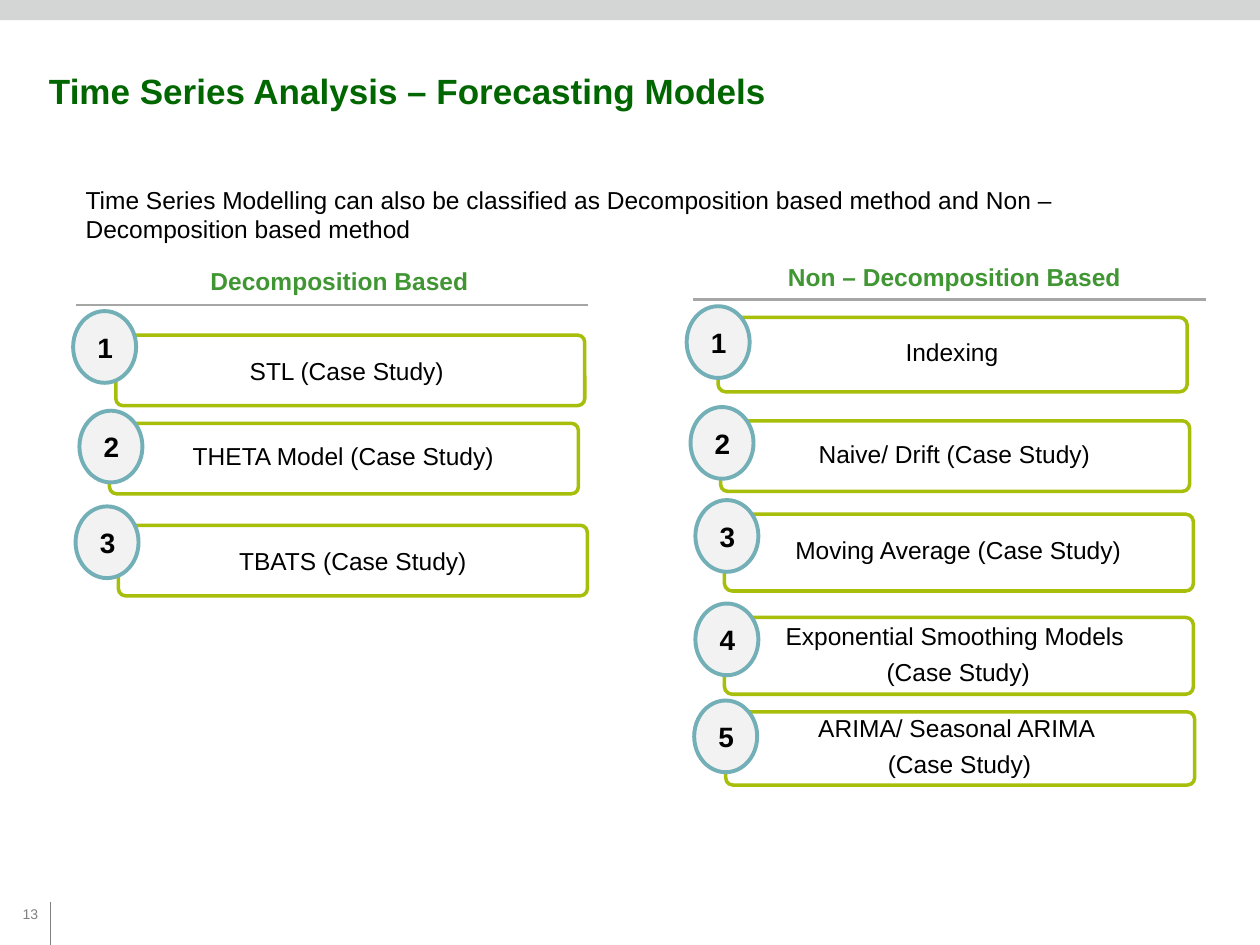
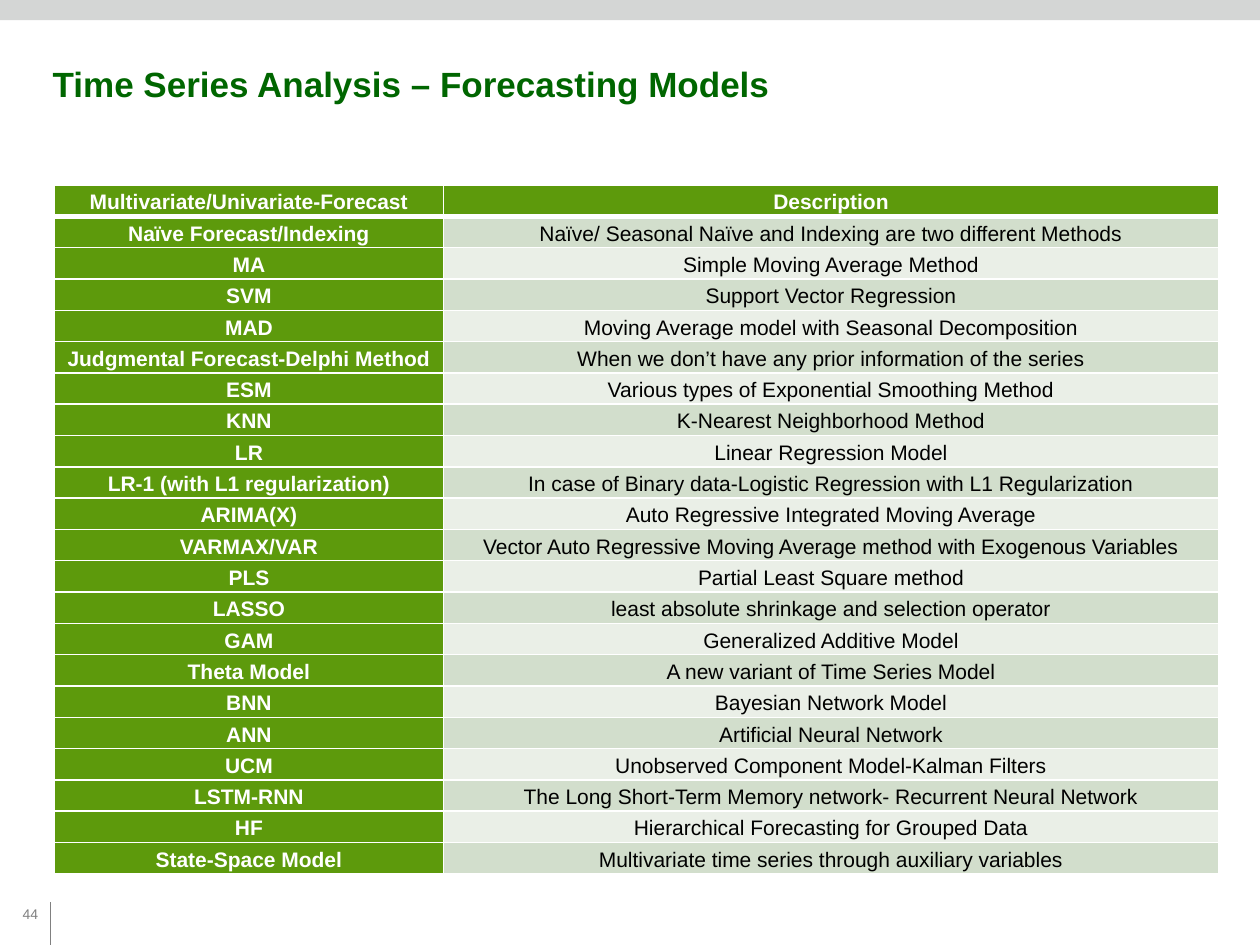
from dataclasses import dataclass
from enum import Enum
from typing import NamedTuple

from pptx import Presentation
from pptx.dml.color import RGBColor
from pptx.enum.shapes import MSO_CONNECTOR, MSO_SHAPE
from pptx.enum.text import MSO_ANCHOR, PP_ALIGN
from pptx.oxml.ns import qn
from pptx.util import Pt
from lxml import etree

FONT = "Arial"
TITLE = "Time Series Analysis – Forecasting Models"
BLACK, WHITE = "000000", "FFFFFF"
TITLE_GREEN, HEADING_GREEN, TABLE_GREEN = "006600", "409633", "5D9A0C"
CARD_LINE, BADGE_LINE, BADGE_FILL = "A7BF0A", "72AFB6", "F2F2F2"
BAND_GREY, RULE_GREY, FOOTER_GREY = "D4D6D5", "A6A6A6", "808080"
ROW_FILLS = ("D2DECC", "EAEFE7")

SLIDE_WIDTH, SLIDE_HEIGHT = 720, 540
CARD_WIDTH, LABEL_WIDTH = 268, 264
BADGE_WIDTH, BADGE_HEIGHT = 36, 41
ROW_HEIGHT, COLUMN_WIDTHS = 17.9, (222.5, 442.8)


class Box(NamedTuple):
    left: float
    top: float
    width: float
    height: float


@dataclass(frozen=True)
class TextStyle:
    size: float
    color: str = BLACK
    bold: bool = False
    align: PP_ALIGN = PP_ALIGN.LEFT
    anchor: MSO_ANCHOR = MSO_ANCHOR.MIDDLE
    insets: tuple[float, float] = (7.2, 3.6)
    line_spacing: float = 1
    space_after: float = 0


class LabelPlace(Enum):
    INSIDE = "text of the card itself"
    INSET = "text box just inside the card"
    RAISED = "text box slightly above the card"


@dataclass(frozen=True)
class Card:
    lines: tuple[str, ...]
    left: float
    top: float
    height: float
    badge_left: float
    badge_top: float
    place: LabelPlace


@dataclass(frozen=True)
class Column:
    heading: str
    heading_left: float
    heading_top: float
    rule_left: float
    rule_top: float
    cards: tuple[Card, ...]


TITLE_STYLE = TextStyle(20, TITLE_GREEN, True)
NUMBER_STYLE = TextStyle(8, FOOTER_GREY, anchor=MSO_ANCHOR.BOTTOM, space_after=2.4)
INTRO_STYLE = TextStyle(14, anchor=MSO_ANCHOR.TOP)
HEADING_STYLE = TextStyle(14, HEADING_GREEN, True, PP_ALIGN.CENTER)
BADGE_STYLE = TextStyle(16, bold=True, align=PP_ALIGN.CENTER, insets=(8.6, 8.6))
LABEL_STYLES = {
    LabelPlace.INSIDE: TextStyle(14, align=PP_ALIGN.CENTER),
    LabelPlace.INSET: TextStyle(14, align=PP_ALIGN.CENTER, insets=(2.9, 2.2),
                                line_spacing=0.9, space_after=5.5),
    LabelPlace.RAISED: TextStyle(14, align=PP_ALIGN.CENTER, insets=(2.9, 2.2)),
}
NAME_CELL = TextStyle(12, WHITE, True, PP_ALIGN.CENTER, insets=(2.2, 0), line_spacing=1.15)
DESCRIPTION_CELL = TextStyle(12, align=PP_ALIGN.CENTER, insets=(2.2, 0), line_spacing=1.15)

COLUMNS = (
    Column("Decomposition Based", 62.6, 136.8, 43.2, 174.2, (
        Card(("STL (Case Study) ",), 66.2, 191.5, 40.3, 41.8, 177.8, LabelPlace.INSIDE),
        Card(("THETA Model (Case Study)",), 62.6, 241.9, 40.3, 45.4, 234.7, LabelPlace.RAISED),
        Card(("TBATS (Case Study)",), 67.7, 300.2, 40.3, 43.2, 289.4, LabelPlace.INSIDE),
    )),
    Column("Non – Decomposition Based", 414, 134.6, 396, 171.2, (
        Card(("Indexing",), 410.4, 181.4, 42.5, 392.4, 175, LabelPlace.INSET),
        Card(("Naive/ Drift (Case Study)",), 411.8, 240.5, 40.3, 394.6, 232.6, LabelPlace.RAISED),
        Card(("Moving Average (Case Study)",), 414, 293.8, 43.9, 397.4, 285.8, LabelPlace.INSET),
        Card(("Exponential Smoothing Models ", "(Case Study)"),
             414, 352.8, 43.9, 397.4, 344.9, LabelPlace.INSET),
        Card(("ARIMA/ Seasonal ARIMA ", "(Case Study)"),
             414.7, 406.8, 41.8, 396.7, 400.3, LabelPlace.INSET),
    )),
)

MODELS = (
    ("Multivariate/Univariate-Forecast", "Description"),
    ("Naïve Forecast/Indexing", "Naïve/ Seasonal Naïve and Indexing are two different Methods"),
    ("MA", "Simple Moving Average Method"),
    ("SVM", "Support Vector Regression"),
    ("MAD", "Moving Average model with Seasonal Decomposition"),
    ("Judgmental Forecast-Delphi Method", "When we don’t have any prior information of the series"),
    ("ESM", "Various types of Exponential Smoothing Method"),
    ("KNN", "K-Nearest Neighborhood Method"),
    ("LR", "Linear Regression Model"),
    ("LR-1 (with L1 regularization)",
     "In case of Binary data-Logistic Regression with L1 Regularization"),
    ("ARIMA(X)", "Auto Regressive Integrated Moving Average"),
    ("VARMAX/VAR", "Vector Auto Regressive Moving Average method with Exogenous Variables"),
    ("PLS", "Partial Least Square method"),
    ("LASSO", "least absolute shrinkage and selection operator"),
    ("GAM", "Generalized Additive Model"),
    ("Theta Model", "A new variant of Time Series Model"),
    ("BNN", "Bayesian Network Model"),
    ("ANN", "Artificial Neural Network"),
    ("UCM", "Unobserved Component Model-Kalman Filters"),
    ("LSTM-RNN", "The Long Short-Term Memory network- Recurrent Neural Network"),
    ("HF", "Hierarchical Forecasting for Grouped Data"),
    ("State-Space Model", "Multivariate time series through auxiliary variables"),
)


def rgb(color: str) -> RGBColor:
    return RGBColor.from_string(color)


def points(box: Box) -> list[Pt]:
    return [Pt(length) for length in box]


# Text
def write_lines(text_frame, lines: tuple[str, ...], style: TextStyle) -> None:
    for index, line in enumerate(lines):
        paragraph = text_frame.add_paragraph() if index else text_frame.paragraphs[0]
        paragraph.alignment = style.align
        paragraph.line_spacing = style.line_spacing
        paragraph.space_after = Pt(style.space_after)
        run = paragraph.add_run()
        run.text = line
        run.font.name = FONT
        run.font.size = Pt(style.size)
        run.font.bold = style.bold
        run.font.color.rgb = rgb(style.color)


def set_insets(target, style: TextStyle) -> None:
    target.margin_left = target.margin_right = Pt(style.insets[0])
    target.margin_top = target.margin_bottom = Pt(style.insets[1])
    target.vertical_anchor = style.anchor


def fill_text(shape, lines: tuple[str, ...], style: TextStyle) -> None:
    text_frame = shape.text_frame
    text_frame.word_wrap = True
    set_insets(text_frame, style)
    write_lines(text_frame, lines, style)


def add_text(shapes, box: Box, lines: tuple[str, ...], style: TextStyle) -> None:
    fill_text(shapes.add_textbox(*points(box)), lines, style)


# Shapes and lines
def add_preset(shapes, preset: MSO_SHAPE, box: Box, fill: str,
               line: str | None = None, line_width: float = 0):
    shape = shapes.add_shape(preset, *points(box))
    shape.shadow.inherit = False
    shape.fill.solid()
    shape.fill.fore_color.rgb = rgb(fill)
    if line:
        shape.line.color.rgb = rgb(line)
        shape.line.width = Pt(line_width)
    else:
        shape.line.fill.background()
    return shape


def add_line(slide, start: tuple[float, float], end: tuple[float, float],
             color: str, width: float) -> None:
    ends = [Pt(length) for length in (*start, *end)]
    connector = slide.shapes.add_connector(MSO_CONNECTOR.STRAIGHT, *ends)
    connector.line.color.rgb = rgb(color)
    connector.line.width = Pt(width)
    etree.SubElement(connector.element.spPr, qn("a:effectLst"))


# Parts shared by both slides
def add_base_slide(presentation, number: str, title_left: float, title_top: float):
    slide = presentation.slides.add_slide(presentation.slide_layouts[6])
    add_line(slide, (28.8, 515.5), (28.8, SLIDE_HEIGHT), FOOTER_GREY, 0.5)
    add_text(slide.shapes, Box(5.8, 493.2, 25.2, 37.4), (number,), NUMBER_STYLE)
    add_preset(slide.shapes, MSO_SHAPE.RECTANGLE, Box(0, 0, SLIDE_WIDTH, 11.5), BAND_GREY)
    add_text(slide.shapes, Box(title_left, title_top, 671, 79.2), (TITLE,), TITLE_STYLE)
    return slide


# Numbered card: frame, label and badge
def add_card(slide, number: int, card: Card) -> None:
    shapes = slide.shapes.add_group_shape().shapes
    frame = add_preset(shapes, MSO_SHAPE.ROUNDED_RECTANGLE,
                       Box(card.left, card.top, CARD_WIDTH, card.height), WHITE, CARD_LINE, 2)
    frame.adjustments[0] = 0.1
    style = LABEL_STYLES[card.place]
    if card.place is LabelPlace.INSIDE:
        fill_text(frame, card.lines, style)
    else:
        shift, growth = (1, -2.7) if card.place is LabelPlace.INSET else (-2.5, 2.2)
        label_box = Box(card.left + 1.6, card.top + shift, LABEL_WIDTH, card.height + growth)
        add_text(shapes, label_box, card.lines, style)
    badge = add_preset(shapes, MSO_SHAPE.OVAL,
                       Box(card.badge_left, card.badge_top, BADGE_WIDTH, BADGE_HEIGHT),
                       BADGE_FILL, BADGE_LINE, 2.25)
    fill_text(badge, (str(number),), BADGE_STYLE)


def add_column(slide, column: Column) -> None:
    add_text(slide.shapes, Box(column.heading_left, column.heading_top, 262.8, 46.8),
             (column.heading,), HEADING_STYLE)
    add_line(slide, (column.rule_left, column.rule_top),
             (column.rule_left + 293, column.rule_top), RULE_GREY, 1.5)
    for number, card in enumerate(column.cards, start=1):
        add_card(slide, number, card)


# Table
def set_borders(cell, widths: dict[str, float]) -> None:
    properties = cell._tc.get_or_add_tcPr()
    for side, width in widths.items():
        line = etree.SubElement(properties, qn(f"a:{side}"), w=str(Pt(width)))
        fill = etree.SubElement(line, qn("a:solidFill"))
        etree.SubElement(fill, qn("a:srgbClr"), val=WHITE)


def add_model_table(slide) -> None:
    box = Box(31, 105.8, sum(COLUMN_WIDTHS), ROW_HEIGHT * len(MODELS))
    table = slide.shapes.add_table(len(MODELS), len(COLUMN_WIDTHS), *points(box)).table
    table.first_row = table.horz_banding = False
    for column, width in zip(table.columns, COLUMN_WIDTHS):
        column.width = Pt(width)
    for row_index, texts in enumerate(MODELS):
        table.rows[row_index].height = Pt(ROW_HEIGHT)
        for column_index, text in enumerate(texts):
            cell = table.cell(row_index, column_index)
            is_heading = row_index == 0 or column_index == 0
            style = NAME_CELL if is_heading else DESCRIPTION_CELL
            set_borders(cell, {"lnL": 1, "lnR": 1, "lnT": 3 if row_index == 1 else 1,
                               "lnB": 3 if row_index == 0 else 1})
            cell.fill.solid()
            cell.fill.fore_color.rgb = rgb(
                TABLE_GREEN if is_heading else ROW_FILLS[(row_index - 1) % 2])
            set_insets(cell, style)
            write_lines(cell.text_frame, (text,), style)


def main() -> None:
    presentation = Presentation()
    presentation.slide_width, presentation.slide_height = Pt(SLIDE_WIDTH), Pt(SLIDE_HEIGHT)

    # Two families of models
    slide = add_base_slide(presentation, "13", 20.9, 12.2)
    add_text(slide.shapes, Box(41.8, 102.2, 644.4, 41),
             ("Time Series Modelling can also be classified as Decomposition based method "
              "and Non – Decomposition based method",), INTRO_STYLE)
    for column in COLUMNS:
        add_column(slide, column)

    # Overview of models
    add_model_table(add_base_slide(presentation, "44", 23, 7.9))

    presentation.save("out.pptx")


if __name__ == "__main__":
    main()
